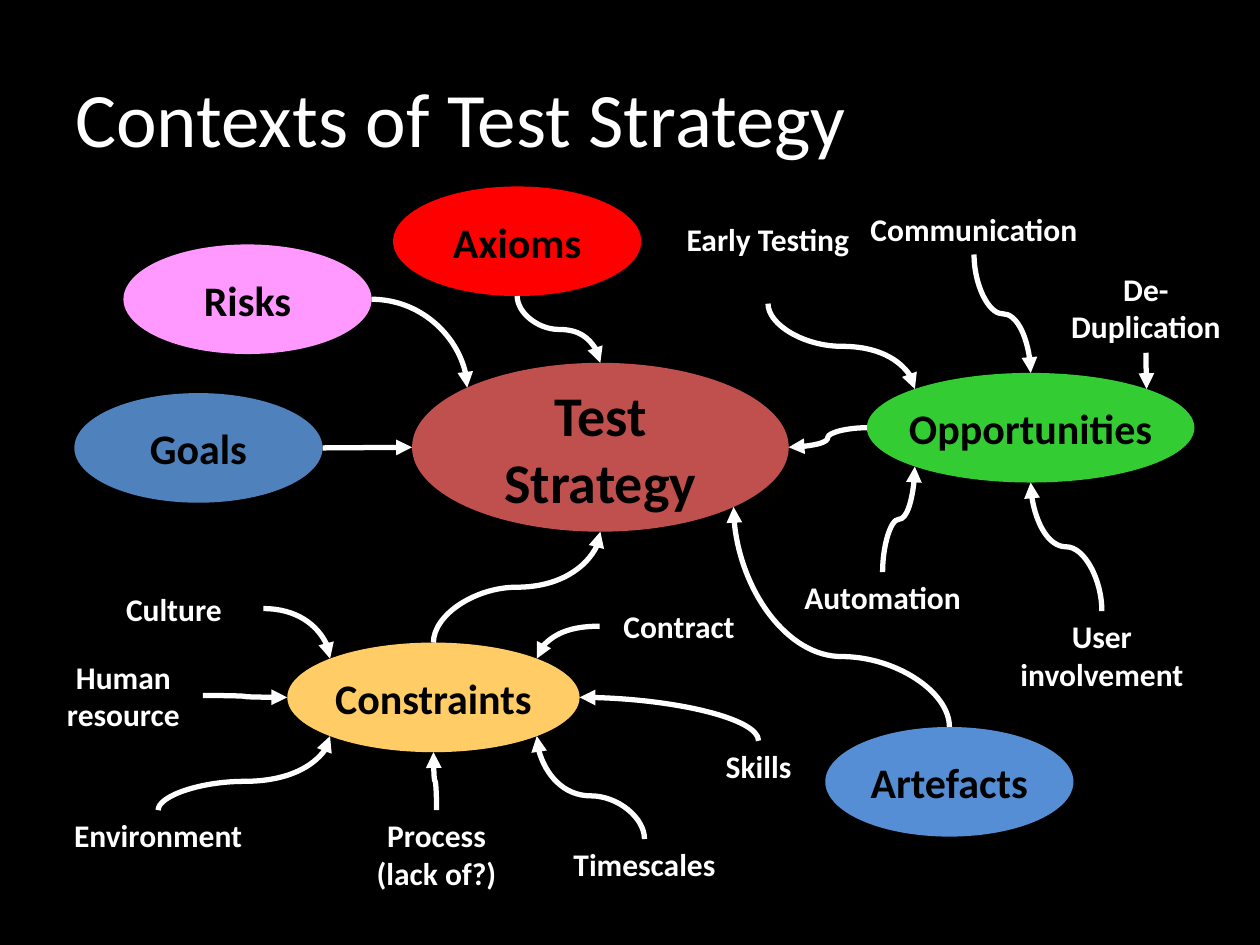
from lxml import etree
from pptx import Presentation
from pptx.dml.color import RGBColor
from pptx.enum.shapes import MSO_CONNECTOR, MSO_SHAPE
from pptx.enum.text import MSO_ANCHOR, PP_ALIGN
from pptx.oxml.ns import qn
from pptx.util import Inches, Pt

CURVE, STRAIGHT = MSO_CONNECTOR.CURVE, MSO_CONNECTOR.STRAIGHT
OVAL = MSO_SHAPE.OVAL
LEFT, CENTER = PP_ALIGN.LEFT, PP_ALIGN.CENTER
TOP, MIDDLE = MSO_ANCHOR.TOP, MSO_ANCHOR.MIDDLE
WHITE, BLACK = "FFFFFF", "000000"

TITLE = "Contexts of Test Strategy"
OVALS = [
    ("Test\nStrategy", (3.27, 2.88, 2.99, 1.34), "C0504D", 32),
    ("Risks", (0.98, 1.94, 1.97, 0.87), "FF99FF", 24),
    ("Goals", (0.59, 3.12, 1.97, 0.87), "4F81BD", 24),
    ("Constraints", (2.28, 5.1, 2.32, 0.87), "FFCC66", 24),
    ("Opportunities", (6.88, 2.96, 2.6, 0.87), "33CC33", 24),
    ("Axioms", (3.12, 1.48, 1.97, 0.87), "FF0000", 24),
    ("Artefacts", (6.55, 5.77, 1.97, 0.87), "558ED5", 24),
]
LABELS = [
    ("Human resource", (0.35, 5.17, 1.26, 0.7)),
    ("Environment", (0.35, 6.43, 1.81, 0.4)),
    ("Timescales", (4.21, 6.66, 1.81, 0.4)),
    ("Process\v(lack of?)", (2.56, 6.43, 1.81, 0.7)),
    ("Contract", (4.76, 4.77, 1.26, 0.4)),
    ("Culture", (0.67, 4.63, 1.42, 0.4)),
    ("User involvement", (7.84, 4.85, 1.81, 0.7)),
    ("Automation", (6.1, 4.54, 1.81, 0.4)),
    ("De-Duplication", (8.31, 2.09, 1.57, 0.71)),
    ("Early Testing", (5.31, 1.7, 1.57, 0.71)),
    ("Skills", (5.31, 5.88, 1.42, 0.4)),
    ("Communication", (6.65, 1.62, 2.16, 0.4)),
]
# fields: start, side, end, side, bend
LINKS = [
    ("Risks", "r", "Test\nStrategy", "tl", "corner"),
    ("Goals", "r", "Test\nStrategy", "l", "straight"),
    ("Constraints", "t", "Test\nStrategy", "b", 0.5),
    ("Opportunities", "l", "Test\nStrategy", "r", 0.5),
    ("Axioms", "b", "Test\nStrategy", "t", 0.5),
    ("Artefacts", "t", "Test\nStrategy", "br", 0.32),
    ("Human resource", "r", "Constraints", "l", 0.5),
    ("Environment", "t", "Constraints", "bl", 0.39),
    ("Timescales", "t", "Constraints", "br", 0.42),
    ("Process\v(lack of?)", "t", "Constraints", "b", 0.5),
    ("Contract", "l", "Constraints", "tr", "corner"),
    ("Culture", "r", "Constraints", "tl", "corner"),
    ("Skills", "t", "Constraints", "r", "corner"),
    ("User involvement", "t", "Opportunities", "b", 0.5),
    ("Automation", "t", "Opportunities", "bl", 0.5),
    ("De-Duplication", "b", "Opportunities", "tr", 0.5),
    ("Early Testing", "b", "Opportunities", "tl", 0.5),
    ("Communication", "b", "Opportunities", "t", 0.5),
]


def rgb(value):
    return RGBColor.from_string(value)


def write(sp, text, size=18, color=WHITE, bold=True, align=CENTER, anchor=TOP, wrap=True):
    tf = sp.text_frame
    tf.word_wrap, tf.vertical_anchor = wrap, anchor
    for i, line in enumerate(text.split("\n")):
        p = tf.add_paragraph() if i else tf.paragraphs[0]
        p.text, p.alignment = line, align
        for r in p.runs:
            r.font.name, r.font.size, r.font.bold = "Calibri", Pt(size), bold
            r.font.color.rgb = rgb(color)


def site(box, side):
    x, y, w, h = box
    reach = 0.5 if len(side) == 1 else 0.5 ** 1.5
    dx = ("r" in side) - ("l" in side)
    dy = ("b" in side) - ("t" in side)
    return x + w / 2 + dx * w * reach, y + h / 2 + dy * h * reach


def link(s, start, end, vertical, bend):
    (x1, y1), (x2, y2) = start, end
    if vertical:
        cx, cy, dx, dy = (x1 + x2) / 2, (y1 + y2) / 2, x2 - x1, y2 - y1
        x1, x2 = cx + dy / 2, cx - dy / 2
        y1, y2 = cy - dx / 2, cy + dx / 2
    kind = STRAIGHT if bend == "straight" else CURVE
    cxn = s.shapes.add_connector(kind, *map(Inches, (x1, y1, x2, y2)))
    cxn.line.color.rgb, cxn.line.width = rgb(WHITE), Pt(3)
    sp_pr = cxn._element.spPr
    if vertical:
        sp_pr.find(qn("a:xfrm")).set("rot", str(270 * 60000))
    geom = sp_pr.find(qn("a:prstGeom"))
    if bend == "corner":
        geom.set("prst", "curvedConnector2")
    elif bend != "straight":
        guide = etree.SubElement(geom.find(qn("a:avLst")), qn("a:gd"))
        guide.set("name", "adj1")
        guide.set("fmla", f"val {round(bend * 100000)}")
    etree.SubElement(sp_pr.find(qn("a:ln")), qn("a:tailEnd")).set("type", "triangle")
    etree.SubElement(sp_pr, qn("a:effectLst"))


def main():
    prs = Presentation()
    prs.slide_width, prs.slide_height = Inches(10), Inches(7.5)
    s = prs.slides.add_slide(prs.slide_layouts[6])
    s.background.fill.solid()
    s.background.fill.fore_color.rgb = rgb(BLACK)

    title = s.shapes.add_textbox(*map(Inches, (0.5, 0.3, 9, 1.25)))
    write(title, TITLE, size=44, bold=False, align=LEFT, anchor=MIDDLE)

    boxes = {}
    for text, box, fill, size in OVALS:
        sp = s.shapes.add_shape(OVAL, *map(Inches, box))
        sp.shadow.inherit = False
        sp.fill.solid()
        sp.fill.fore_color.rgb = rgb(fill)
        sp.line.fill.background()
        write(sp, text, size=size, color=BLACK, anchor=MIDDLE, wrap=False)
        boxes[text] = box
    for text, box in LABELS:
        write(s.shapes.add_textbox(*map(Inches, box)), text)
        boxes[text] = box
    for a, a_side, b, b_side, bend in LINKS:
        link(s, site(boxes[a], a_side), site(boxes[b], b_side), a_side in "tb", bend)

    prs.save("out.pptx")


if __name__ == "__main__":
    main()
